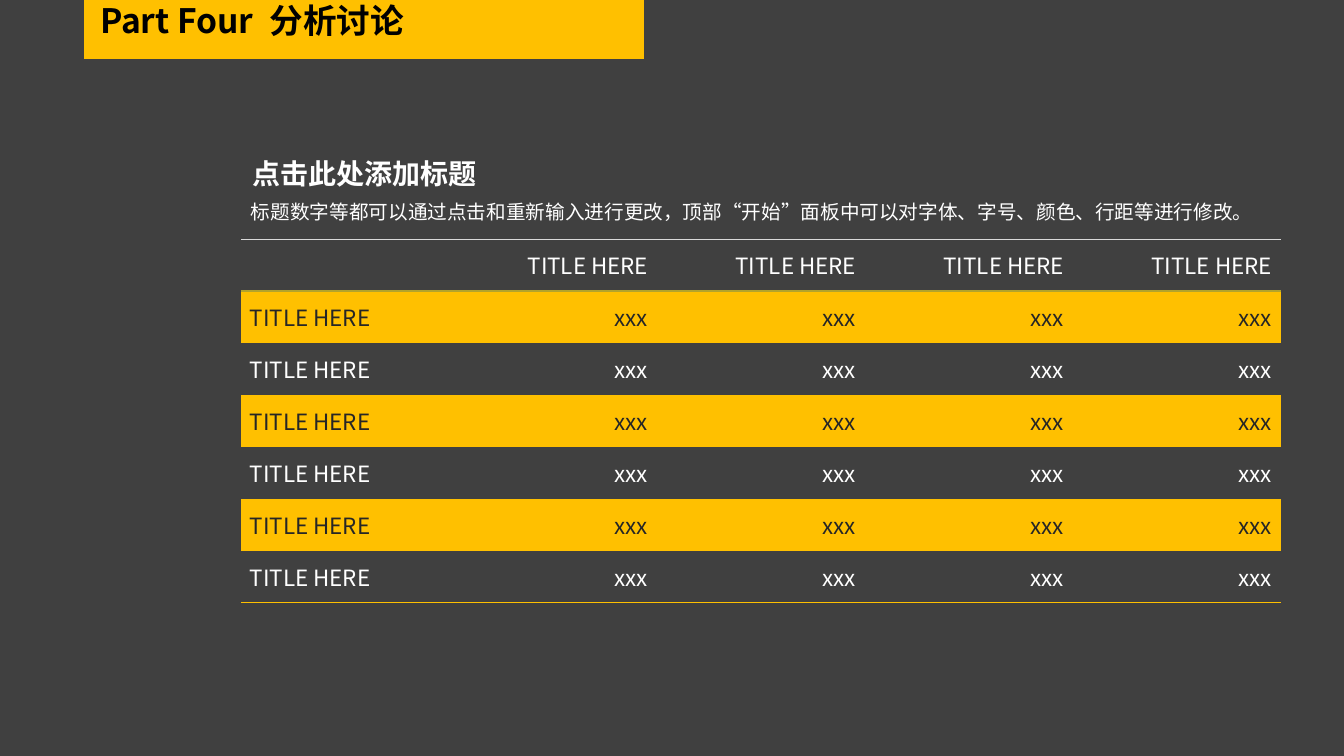
from dataclasses import dataclass

from lxml import etree
from pptx import Presentation
from pptx.dml.color import RGBColor
from pptx.enum.shapes import MSO_SHAPE
from pptx.enum.text import MSO_ANCHOR, PP_ALIGN
from pptx.oxml.ns import qn
from pptx.slide import Slide
from pptx.table import _Cell
from pptx.text.text import _Paragraph
from pptx.util import Emu, Pt

RECTANGLE = MSO_SHAPE.RECTANGLE
MIDDLE = MSO_ANCHOR.MIDDLE
TOP = MSO_ANCHOR.TOP
LEFT, CENTER, RIGHT, JUSTIFY = (
    PP_ALIGN.LEFT, PP_ALIGN.CENTER, PP_ALIGN.RIGHT, PP_ALIGN.JUSTIFY)
PX_PER_INCH = 100.8
NO_TABLE_STYLE = "{2D5ABB26-0587-4C30-8999-92F81FD0307C}"


@dataclass(frozen=True)
class Theme:
    font: str = "Noto Sans CJK SC"
    background: str = "404040"
    accent: str = "FFC000"
    black: str = "000000"
    white: str = "FFFFFF"
    dark_text: str = "262626"
    top_rule: str = "D9D9D9"
    header_rule: str = "B2A32B"
    banner_size: int = 24
    heading_size: int = 20
    table_size: int = 16
    body_size: int = 14


THEME = Theme()


@dataclass(frozen=True)
class TextBlock:
    pieces: tuple[str, ...]
    left: int
    top: int
    width: int
    height: int
    size: int
    color: str
    bold: bool = False
    align: PP_ALIGN = LEFT
    line_spacing: float = 1.0
    wrap: bool = True
    inset_left: int = 10
    inset_top: int = 5
    gap_after_space: int = 0


@dataclass(frozen=True)
class Rule:
    side: str
    color: str
    points: float


TEXT_BLOCKS = (
    TextBlock(("Part Four", " ", "分析讨论"), 92, 4, 378, 50,
              THEME.banner_size, THEME.black, bold=True, line_spacing=0.9,
              inset_left=8, inset_top=0, gap_after_space=6),
    TextBlock(("点击此处添加标题",), 241, 151, 247, 44,
              THEME.heading_size, THEME.white, bold=True, align=CENTER, wrap=False),
    TextBlock(("标题数字等都可以通过点击和重新输入进行更改，顶部“开始”面板中"
               "可以对字体、字号、颜色、行距等进行修改。",), 241, 188, 1041, 38,
              THEME.body_size, THEME.white, align=JUSTIFY, line_spacing=1.3),
)
TABLE_ROWS = [["", *["TITLE HERE"] * 4]] + [["TITLE HERE", *["xxx"] * 4]] * 6
ROW_RULES = {
    0: (Rule("lnT", THEME.top_rule, 0.5), Rule("lnB", THEME.header_rule, 1)),
    len(TABLE_ROWS) - 1: (Rule("lnB", THEME.accent, 1),),
}
TABLE_LEFT, TABLE_TOP = 241, 239
COLUMN_WIDTH, ROW_HEIGHT = 208, 52


def px(length: int) -> Emu:
    return Emu(round(length * 914400 / PX_PER_INCH))


def rgb(color: str) -> RGBColor:
    return RGBColor.from_string(color)


def style_paragraph(paragraph: _Paragraph, size: int, color: str,
                    align: PP_ALIGN, bold: bool = False) -> None:
    paragraph.alignment = align
    font = paragraph.font
    font.size, font.bold, font.name = Pt(size), bold, THEME.font
    font.color.rgb = rgb(color)
    defaults = paragraph._p.pPr.find(qn("a:defRPr"))
    etree.SubElement(defaults, qn("a:ea"), typeface=THEME.font)


def add_banner(slide: Slide) -> None:
    banner = slide.shapes.add_shape(RECTANGLE, px(84), px(0), px(560), px(59))
    banner.shadow.inherit = False
    banner.fill.solid()
    banner.fill.fore_color.rgb = rgb(THEME.accent)
    banner.line.fill.background()


def add_text(slide: Slide, block: TextBlock) -> None:
    box = slide.shapes.add_textbox(
        px(block.left), px(block.top), px(block.width), px(block.height))
    frame = box.text_frame
    frame.word_wrap = block.wrap
    frame.vertical_anchor = TOP
    frame.margin_left, frame.margin_top = px(block.inset_left), px(block.inset_top)
    paragraph = frame.paragraphs[0]
    paragraph.line_spacing = block.line_spacing
    for piece in block.pieces:
        run = paragraph.add_run()
        run.text = piece
        if piece == " ":
            run._r.get_or_add_rPr().set("spc", str(block.gap_after_space * 100))
    style_paragraph(paragraph, block.size, block.color, block.align, block.bold)


def add_rule(cell: _Cell, rule: Rule) -> None:
    line = etree.SubElement(
        cell._tc.get_or_add_tcPr(), qn(f"a:{rule.side}"), w=str(Pt(rule.points)))
    fill = etree.SubElement(line, qn("a:solidFill"))
    etree.SubElement(fill, qn("a:srgbClr"), val=rule.color)


def fill_cell(cell: _Cell, text: str, row: int, column: int) -> None:
    highlighted = row % 2 == 1
    for rule in ROW_RULES.get(row, ()):
        add_rule(cell, rule)
    if highlighted:
        cell.fill.solid()
        cell.fill.fore_color.rgb = rgb(THEME.accent)
    else:
        cell.fill.background()
    cell.vertical_anchor = MIDDLE
    cell.margin_left = cell.margin_right = px(9)
    cell.margin_top = cell.margin_bottom = px(5)
    cell.text = text
    style_paragraph(cell.text_frame.paragraphs[0], THEME.table_size,
                    THEME.dark_text if highlighted else THEME.white,
                    RIGHT if column else LEFT)


def add_data_table(slide: Slide) -> None:
    row_count, column_count = len(TABLE_ROWS), len(TABLE_ROWS[0])
    table = slide.shapes.add_table(
        row_count, column_count, px(TABLE_LEFT), px(TABLE_TOP),
        px(column_count * COLUMN_WIDTH), px(row_count * ROW_HEIGHT)).table
    table.first_row = table.horz_banding = False
    table._tbl.tblPr.find(qn("a:tableStyleId")).text = NO_TABLE_STYLE
    for column in table.columns:
        column.width = px(COLUMN_WIDTH)
    for row, texts in enumerate(TABLE_ROWS):
        table.rows[row].height = px(ROW_HEIGHT)
        for column, text in enumerate(texts):
            fill_cell(table.cell(row, column), text, row, column)


def main() -> None:
    presentation = Presentation()
    presentation.slide_width, presentation.slide_height = px(1344), px(756)
    slide = presentation.slides.add_slide(presentation.slide_layouts[6])
    slide.background.fill.solid()
    slide.background.fill.fore_color.rgb = rgb(THEME.background)
    add_banner(slide)
    add_data_table(slide)
    for block in TEXT_BLOCKS:
        add_text(slide, block)
    presentation.save("out.pptx")


if __name__ == "__main__":
    main()
